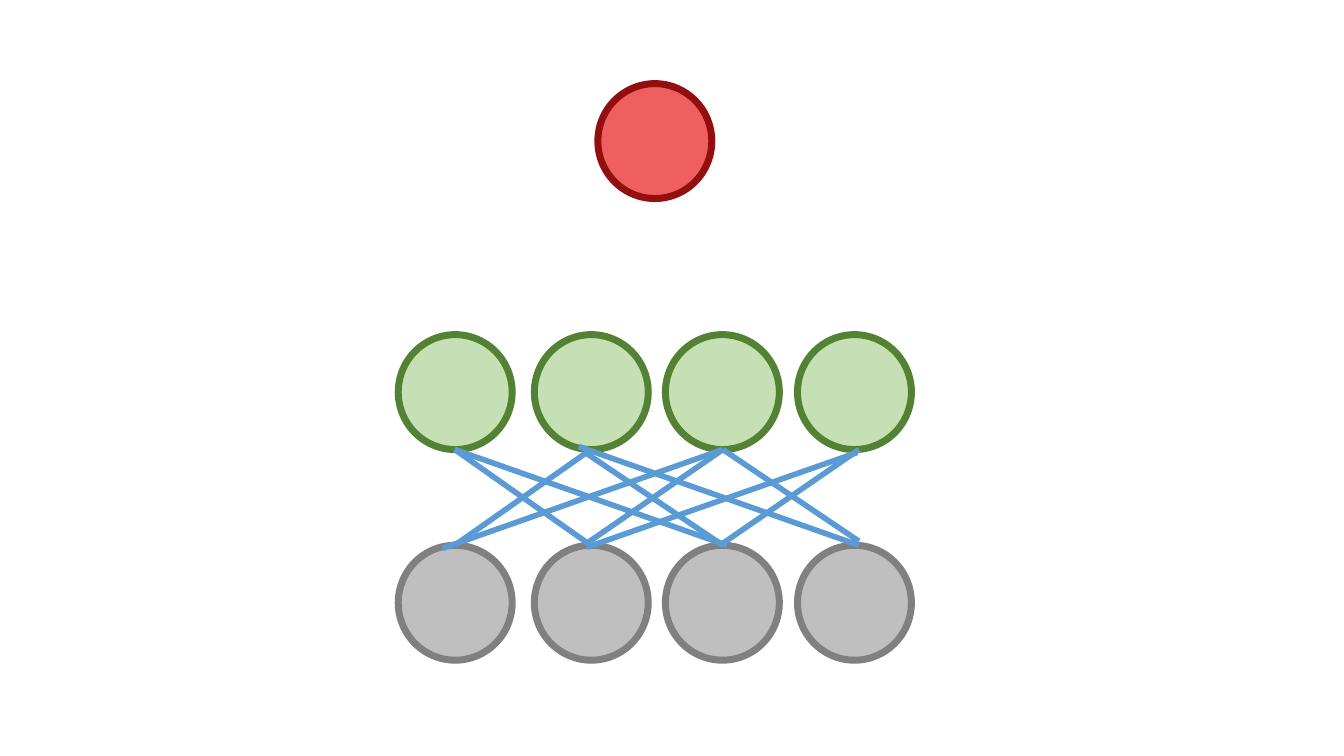
from dataclasses import dataclass

from lxml.etree import SubElement
from pptx import Presentation
from pptx.dml.color import RGBColor
from pptx.enum.shapes import MSO_CONNECTOR, MSO_SHAPE
from pptx.oxml.ns import qn
from pptx.util import Inches, Pt


@dataclass(frozen=True)
class Theme:
    input_fill: str = "BFBFBF"
    input_line: str = "808080"
    hidden_fill: str = "C5E0B4"
    hidden_line: str = "548235"
    output_fill: str = "EF5F5F"
    output_line: str = "930F0F"
    link: str = "5B9BD5"
    node_width: int = 5
    link_width: int = 4


THEME = Theme()
NODE_SIZE = (1.13, 1.14)
COLUMN_LEFTS = (3.95, 5.3, 6.6, 7.91)
HIDDEN_TOP = 3.32
INPUT_TOP = 5.41
OUTPUT_PLACE = (5.93, 0.83)
LINKS = (
    ((4.51, 4.46), (5.86, 5.41)),
    ((4.51, 5.41), (5.86, 4.46)),
    ((5.82, 4.5), (7.17, 5.41)),
    ((5.82, 5.39), (7.17, 4.46)),
    ((7.17, 5.39), (8.52, 4.46)),
    ((7.17, 4.46), (8.52, 5.37)),
    ((5.74, 4.43), (8.52, 5.41)),
    ((4.51, 4.46), (7.21, 5.41)),
    ((5.82, 5.43), (8.5, 4.49)),
    ((4.39, 5.44), (7.17, 4.46)),
)


def add_node(shapes, left, top, fill, line):
    width, height = NODE_SIZE
    node = shapes.add_shape(
        MSO_SHAPE.OVAL, Inches(left), Inches(top), Inches(width), Inches(height)
    )
    node.shadow.inherit = False
    node.fill.solid()
    node.fill.fore_color.rgb = RGBColor.from_string(fill)
    node.line.color.rgb = RGBColor.from_string(line)
    node.line.width = Pt(THEME.node_width)


def add_layer(shapes, top, fill, line):
    for left in COLUMN_LEFTS:
        add_node(shapes, left, top, fill, line)


def add_link(shapes, start, end):
    link = shapes.add_connector(
        MSO_CONNECTOR.STRAIGHT, *(Inches(value) for value in start + end)
    )
    link.line.color.rgb = RGBColor.from_string(THEME.link)
    link.line.width = Pt(THEME.link_width)
    SubElement(link._element.spPr, qn("a:effectLst"))


def main():
    deck = Presentation()
    deck.slide_width = Inches(13.33)
    deck.slide_height = Inches(7.5)
    page = deck.slides.add_slide(deck.slide_layouts[6])

    layers = page.shapes.add_group_shape()
    add_layer(layers.shapes, INPUT_TOP, THEME.input_fill, THEME.input_line)
    add_layer(layers.shapes, HIDDEN_TOP, THEME.hidden_fill, THEME.hidden_line)
    for start, end in LINKS:
        add_link(page.shapes, start, end)
    add_node(page.shapes, *OUTPUT_PLACE, THEME.output_fill, THEME.output_line)

    deck.save("out.pptx")


if __name__ == "__main__":
    main()
